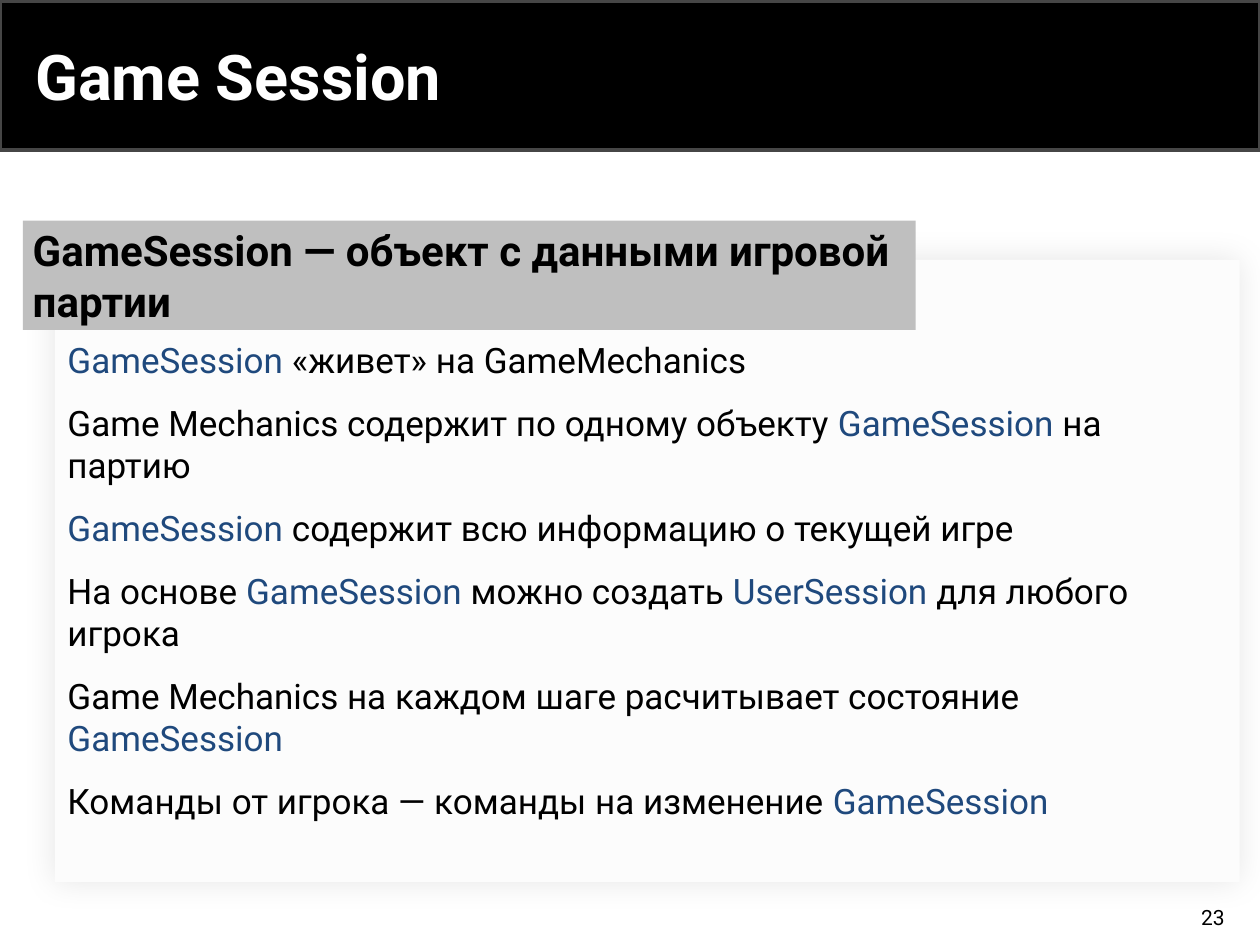
from dataclasses import dataclass
from typing import Optional

from lxml.etree import SubElement
from pptx import Presentation
from pptx.dml.color import RGBColor
from pptx.enum.shapes import MSO_SHAPE
from pptx.enum.text import MSO_ANCHOR, PP_ALIGN
from pptx.oxml.ns import qn
from pptx.util import Cm, Pt


@dataclass(frozen=True)
class Theme:
    font: str = "Roboto"
    black: str = "000000"
    white: str = "FFFFFF"
    edge: str = "464646"
    card: str = "FCFCFC"
    band: str = "BFBFBF"
    accent: str = "1F497D"
    title: int = 36
    head: int = 24
    body: int = 20
    small: int = 12


@dataclass(frozen=True)
class Box:
    left: float
    top: float
    width: float
    height: float

    def place(self) -> tuple:
        return tuple(Cm(n) for n in (self.left, self.top, self.width, self.height))


@dataclass(frozen=True)
class Style:
    size: int
    color: str
    bold: bool = False
    align: PP_ALIGN = PP_ALIGN.LEFT
    before: int = 0
    after: int = 0


THEME = Theme()

# Asterisks enclose the accented words
LINES = [
    "*GameSession *«живет» на GameMechanics",
    "Game Mechanics содержит по одному объекту *GameSession *на партию",
    "*GameSession *содержит всю информацию о текущей игре",
    "На основе *GameSession *можно создать *UserSession *для любого игрока",
    "Game Mechanics на каждом шаге расчитывает состояние *GameSession*",
    "Команды от игрока ― команды на изменение *GameSession*",
]


def add_rect(slide, box: Box, fill: str, line: Optional[str] = None):
    rect = slide.shapes.add_shape(MSO_SHAPE.RECTANGLE, *box.place())
    rect.shadow.inherit = False
    rect.fill.solid()
    rect.fill.fore_color.rgb = RGBColor.from_string(fill)
    if line:
        rect.line.color.rgb = RGBColor.from_string(line)
        rect.line.width = Pt(2)
    else:
        rect.line.fill.background()
    return rect


def add_glow(shape, blur: int, alpha: int) -> None:
    """Soft shadow on all sides; alpha in percent."""
    effects = shape._element.spPr.find(qn("a:effectLst"))
    outer = SubElement(effects, qn("a:outerShdw"), blurRad=str(Pt(blur)),
                       dist="0", dir="0", algn="ctr", rotWithShape="0")
    color = SubElement(outer, qn("a:srgbClr"), val=THEME.black)
    SubElement(color, qn("a:alpha"), val=str(alpha * 1000))


def write(shape, lines: list[str], style: Style, anchor=MSO_ANCHOR.MIDDLE) -> None:
    frame = shape.text_frame
    frame.word_wrap = True
    frame.vertical_anchor = anchor
    for i, line in enumerate(lines):
        para = frame.paragraphs[0] if i == 0 else frame.add_paragraph()
        para.alignment = style.align
        para.space_before = Pt(style.before)
        para.space_after = Pt(style.after)
        for j, part in enumerate(line.split("*")):
            if not part:
                continue
            run = para.add_run()
            run.text = part
            font = run.font
            font.name = THEME.font
            font.size = Pt(style.size)
            font.bold = style.bold
            color = THEME.accent if j % 2 else style.color
            font.color.rgb = RGBColor.from_string(color)


def main() -> None:
    deck = Presentation()
    deck.slide_width, deck.slide_height = Cm(25.4), Cm(19.05)
    slide = deck.slides.add_slide(deck.slide_layouts[6])

    # Title bar and card
    add_rect(slide, Box(0, 0.03, 25.4, 3), THEME.black, THEME.edge)
    card = add_rect(slide, Box(1.11, 5.24, 23.88, 12.54), THEME.card)
    add_glow(card, blur=19, alpha=10)

    # Heading band
    band = add_rect(slide, Box(0.46, 4.45, 18, 2.2), THEME.band)
    frame = band.text_frame
    frame.margin_left = frame.margin_right = Cm(0.2)
    frame.margin_top = frame.margin_bottom = Cm(0.1)
    write(band, ["GameSession ― объект с данными игровой партии"],
          Style(THEME.head, THEME.black, bold=True, after=6))

    # Title, page number and body text
    title = slide.shapes.add_textbox(*Box(0.46, 0.25, 20.7, 2.54).place())
    write(title, ["Game Session"], Style(THEME.title, THEME.white, bold=True))
    page = slide.shapes.add_textbox(*Box(19.15, 18.11, 5.79, 0.76).place())
    write(page, ["23"], Style(THEME.small, THEME.black, align=PP_ALIGN.RIGHT))
    body = slide.shapes.add_textbox(*Box(1.11, 6.7, 22.05, 8.81).place())
    write(body, LINES, Style(THEME.body, THEME.black, before=6, after=6),
          MSO_ANCHOR.TOP)

    deck.save("out.pptx")


if __name__ == "__main__":
    main()
